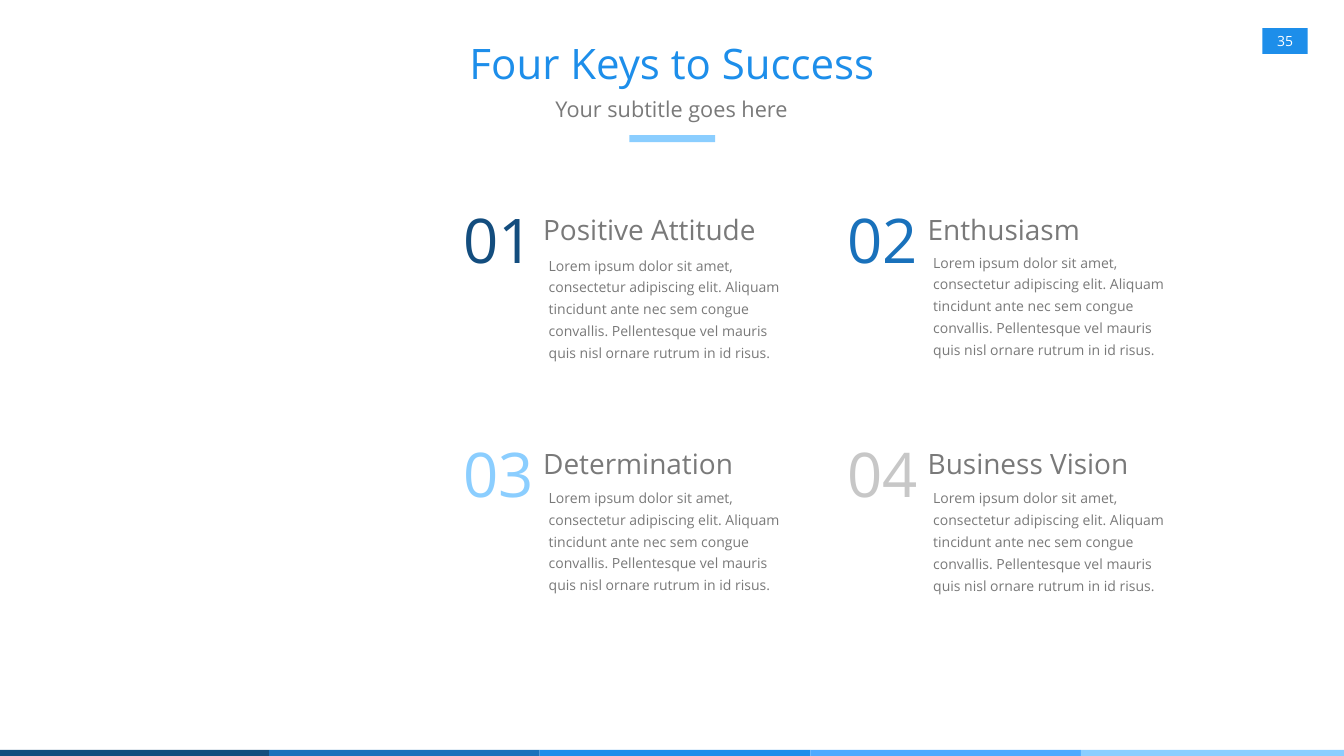
from pptx import Presentation
from pptx.dml.color import RGBColor
from pptx.enum.shapes import MSO_SHAPE
from pptx.enum.text import MSO_ANCHOR, MSO_AUTO_SIZE, PP_ALIGN
from pptx.util import Inches, Pt

RECTANGLE = MSO_SHAPE.RECTANGLE
TOP, MIDDLE = MSO_ANCHOR.TOP, MSO_ANCHOR.MIDDLE
LEFT, CENTER = PP_ALIGN.LEFT, PP_ALIGN.CENTER
NO_AUTOFIT = MSO_AUTO_SIZE.NONE

NAVY = RGBColor(0x13, 0x4D, 0x7E)
DEEP_BLUE = RGBColor(0x19, 0x71, 0xBB)
BLUE = RGBColor(0x1D, 0x8E, 0xEA)
SKY = RGBColor(0x4E, 0xAA, 0xFF)
PALE_BLUE = RGBColor(0x8B, 0xCE, 0xFF)
SILVER = RGBColor(0xC7, 0xC7, 0xC7)
GRAY = RGBColor(0x79, 0x79, 0x79)
WHITE = RGBColor(0xFF, 0xFF, 0xFF)

FONT = "Open Sans"
BODY = (
    "Lorem ipsum dolor sit amet, consectetur adipiscing elit. Aliquam "
    "tincidunt ante nec sem congue convallis. Pellentesque vel mauris "
    "quis nisl ornare rutrum in id risus."
)
KEYS = [
    ("Positive Attitude", NAVY, 1.06),
    ("Enthusiasm", DEEP_BLUE, 1.0),
    ("Determination", PALE_BLUE, 1.02),
    ("Business Vision", SILVER, 1.03),
]
FOOTER_COLORS = [NAVY, DEEP_BLUE, BLUE, SKY, PALE_BLUE]


def write_text(shape, text, size, color, align=LEFT, anchor=TOP,
               insets=(0.1, 0.05, 0.1, 0.05), line_spacing=1.0):
    frame = shape.text_frame
    frame.word_wrap = True
    frame.auto_size = NO_AUTOFIT
    frame.vertical_anchor = anchor
    (frame.margin_left, frame.margin_top,
     frame.margin_right, frame.margin_bottom) = map(Inches, insets)
    para = frame.paragraphs[0]
    para.alignment = align
    para.line_spacing = line_spacing
    para.space_before = Pt(0)
    span = para.add_run()
    span.text = text
    span.font.name = FONT
    span.font.size = Pt(size)
    span.font.color.rgb = color


def add_bar(page, left, top, width, height, color):
    bar = page.shapes.add_shape(RECTANGLE, *map(Inches, (left, top, width, height)))
    bar.shadow.inherit = False
    bar.fill.solid()
    bar.fill.fore_color.rgb = color
    bar.line.fill.background()
    return bar


def add_text(page, left, top, width, height, *args, **style):
    box = page.shapes.add_textbox(*map(Inches, (left, top, width, height)))
    write_text(box, *args, **style)


def fill_placeholder(shape, left, top, width, height, *args, **style):
    shape.left, shape.top, shape.width, shape.height = map(
        Inches, (left, top, width, height))
    write_text(shape, *args, align=CENTER, insets=(0.24, 0.12, 0.24, 0.12), **style)


def add_key(page, left, top, number, heading, color, body_offset):
    add_text(page, left, top, 1.9, 1.58, f"{number:02}", 88, color,
             align=CENTER, anchor=MIDDLE)
    add_text(page, left + 1.74, top + 0.27, 5.44, 0.72, heading, 40, GRAY,
             insets=(0.1, 0, 0.1, 0.05))
    add_text(page, left + 1.85, top + body_offset, 4.8, 2.17, BODY, 20, GRAY,
             anchor=MIDDLE, insets=(0.1, 0, 0, 0), line_spacing=1.3)


def main():
    deck = Presentation()
    deck.slide_width = Inches(26.67)
    deck.slide_height = Inches(15)
    page = deck.slides.add_slide(deck.slide_layouts[0])

    for index, color in enumerate(FOOTER_COLORS):
        add_bar(page, -0.03 + index * 5.37, 14.88, 5.37, 0.2, color)
    badge = add_bar(page, 25.05, 0.56, 0.9, 0.51, BLUE)
    write_text(badge, "35", 20, WHITE, align=CENTER, anchor=MIDDLE,
               insets=(0, 0, 0, 0))

    fill_placeholder(page.shapes.title, 2, 0.62, 22.67, 1.24,
                     "Four Keys to Success", 60, BLUE, anchor=MIDDLE)
    fill_placeholder(page.placeholders[1], 2.03, 1.62, 22.59, 0.88,
                     "Your subtitle goes here", 31, GRAY, line_spacing=1.3)
    add_bar(page, 12.49, 2.68, 1.7, 0.14, PALE_BLUE)

    for index, (heading, color, body_offset) in enumerate(KEYS):
        row, column = divmod(index, 2)
        add_key(page, 8.94 + column * 7.63, 3.94 + row * 4.65,
                index + 1, heading, color, body_offset)

    deck.save("out.pptx")


if __name__ == "__main__":
    main()
